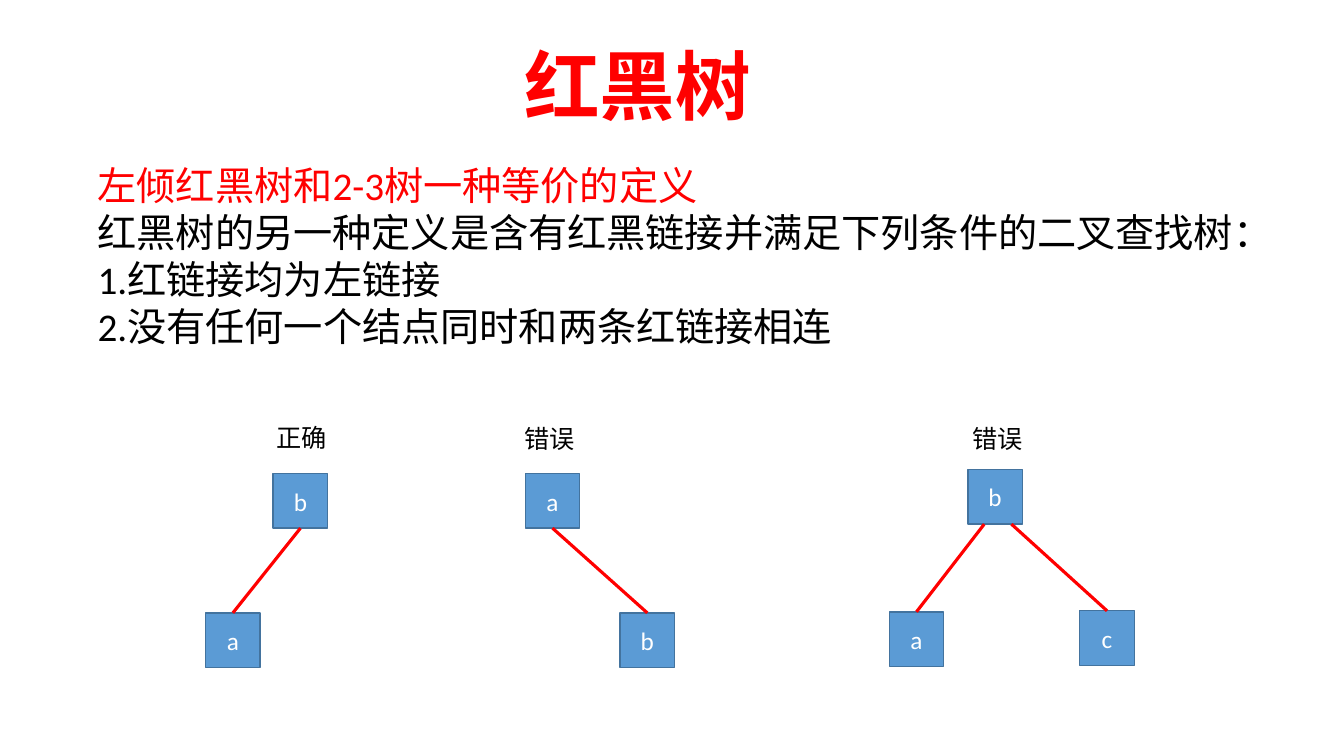
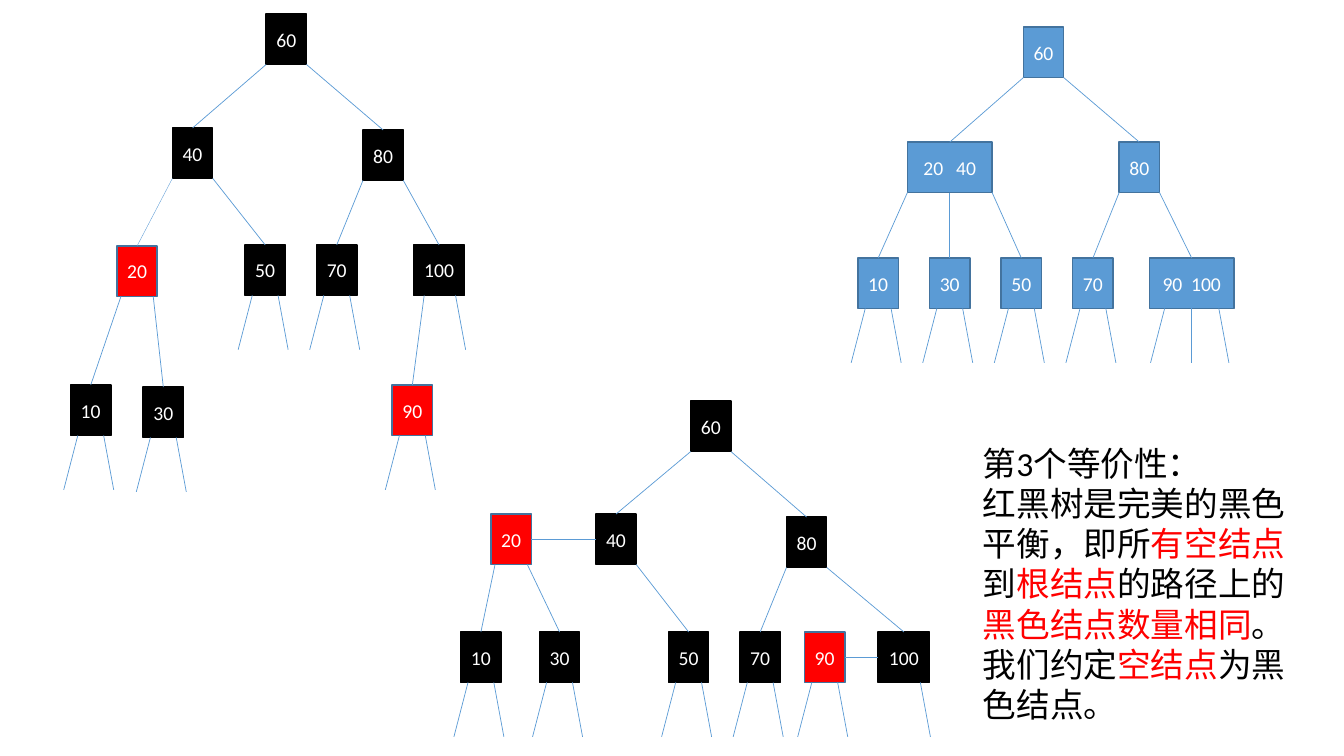
"""Build two slides on red-black trees and their 2-3 tree equivalents."""
from lxml import etree
from pptx import Presentation
from pptx.dml.color import RGBColor
from pptx.enum.shapes import MSO_CONNECTOR, MSO_SHAPE
from pptx.enum.text import MSO_ANCHOR, MSO_AUTO_SIZE, PP_ALIGN
from pptx.oxml.ns import qn
from pptx.util import Inches, Pt

RECT = MSO_SHAPE.RECTANGLE
STRAIGHT = MSO_CONNECTOR.STRAIGHT
TOP, MIDDLE = MSO_ANCHOR.TOP, MSO_ANCHOR.MIDDLE
FIT_SHAPE, NO_FIT = MSO_AUTO_SIZE.SHAPE_TO_FIT_TEXT, MSO_AUTO_SIZE.NONE
LEFT, CENTER = PP_ALIGN.LEFT, PP_ALIGN.CENTER
SIDE_TOP, SIDE_LEFT, SIDE_BOTTOM, SIDE_RIGHT = range(4)
TITLE_ONLY, BLANK = 5, 6

FONT = "Calibri"
COLORS = {"black": "000000", "white": "FFFFFF", "red": "FF0000",
          "blue": "5B9BD5", "edge": "43739E"}
NODE_LINES = {"black": "black", "red": "edge", "blue": "edge"}
STUB_SHIFTS = {0.18: -0.14, 0.5: 0, 0.82: 0.1}
PAIR = (0.18, 0.82)
TRIPLE = (0.18, 0.5, 0.82)


def rgb(name):
    return RGBColor.from_string(COLORS[name])


class Deck:
    """Holds the style and the current slide."""

    def __init__(self, prs):
        self.prs = prs
        self.slide = None

    def add_slide(self, layout):
        self.slide = self.prs.slides.add_slide(self.prs.slide_layouts[layout])

    def style(self, p, size, color, bold=False, align=LEFT):
        p.alignment = align
        p.font.name = FONT
        p.font.size = Pt(size)
        p.font.bold = bold
        p.font.color.rgb = rgb(color)

    def title(self, text, x, y, w, h):
        sp = self.slide.shapes.title
        sp.left, sp.top, sp.width, sp.height = map(Inches, (x, y, w, h))
        tf = sp.text_frame
        tf.text = text
        tf.vertical_anchor = TOP
        tf.auto_size = NO_FIT
        self.style(tf.paragraphs[0], 54, "red", bold=True)

    def text(self, paragraphs, x, y, w, h, size):
        sp = self.slide.shapes.add_textbox(*map(Inches, (x, y, w, h)))
        tf = sp.text_frame
        tf.word_wrap = True
        tf.auto_size = FIT_SHAPE
        for i, runs in enumerate(paragraphs):
            p = tf.add_paragraph() if i else tf.paragraphs[0]
            self.style(p, size, runs[0][1])
            for text, color in runs:
                r = p.add_run()
                r.text = text
                if color != runs[0][1]:
                    r.font.color.rgb = rgb(color)

    def node(self, label, x, y, w, h, size, color="blue", gap=0):
        sp = self.slide.shapes.add_shape(RECT, *map(Inches, (x, y, w, h)))
        sp.shadow.inherit = False
        sp.fill.solid()
        sp.fill.fore_color.rgb = rgb(color)
        sp.line.color.rgb = rgb(NODE_LINES[color])
        sp.line.width = Pt(1)
        tf = sp.text_frame
        tf.word_wrap = False
        tf.vertical_anchor = MIDDLE
        p = tf.paragraphs[0]
        self.style(p, size, "white", align=CENTER)
        for part in label.partition(" "):
            if part:
                r = p.add_run()
                r.text = part
                if part == " ":
                    r._r.get_or_add_rPr().set("spc", str(gap * 100))
        return sp

    def line(self, x1, y1, x2, y2, color, width):
        cxn = self.slide.shapes.add_connector(STRAIGHT, x1, y1, x2, y2)
        cxn.line.color.rgb = rgb(color)
        cxn.line.width = Pt(width)
        etree.SubElement(cxn._element.spPr, qn("a:effectLst"))
        return cxn

    def link(self, parent, at, child, color="blue", width=0.5):
        """Join a point along the parent's bottom to the child's top."""
        x = parent.left + int(parent.width * at)
        y = parent.top + parent.height
        cxn = self.line(x, y, child.left + child.width // 2, child.top, color, width)
        if at == 0.5:
            cxn.begin_connect(parent, SIDE_BOTTOM)
        cxn.end_connect(child, SIDE_TOP)

    def side_link(self, parent, child, width):
        """Join the parent's left side to the child's right side."""
        cxn = self.line(parent.left, parent.top, child.left, child.top, "blue", width)
        cxn.begin_connect(parent, SIDE_LEFT)
        cxn.end_connect(child, SIDE_RIGHT)

    def stubs(self, node, places):
        y = node.top + node.height
        for at in places:
            x = node.left + int(node.width * at)
            self.line(x, y, x + Inches(STUB_SHIFTS[at]), y + Inches(0.54), "blue", 0.5)

    def tree(self, nodes, links, stubs, color, reds=(), side_links=()):
        """Draw nodes, the links between them and the empty links below."""
        made = {}
        for label, x, y in nodes:
            width = 0.84 if " " in label else 0.51 if label == "100" else 0.4
            gap = 3 if label.endswith("100") else 6
            made[label] = self.node(label, x, y, width, 0.5, 14,
                                    "red" if label in reds else color, gap)
        for parent, at, child, *width in links:
            self.link(made[parent], at, made[child], "blue", *width)
        for parent, child, width in side_links:
            self.side_link(made[parent], made[child], width)
        for label, places in stubs.items():
            self.stubs(made[label], places)


def definition_slide(deck):
    deck.add_slide(TITLE_ONLY)
    deck.title("红黑树", 5.1, 0.34, 7.35, 1.01)
    deck.text([[("左倾红黑树和2-3树一种等价的定义", "red")],
               [("红黑树的另一种定义是含有红黑链接并满足下列条件的二叉查找树：", "black")],
               [("1.红链接均为左链接", "black")],
               [("2.没有任何一个结点同时和两条红链接相连", "black")]],
              0.87, 1.55, 11.68, 1.99, 28)
    examples = [
        ("正确", 2.64, 4.14, ("b", 2.71, 4.7), [("a", 2.04, 6.08, 0.5)]),
        ("错误", 5.1, 4.15, ("a", 5.21, 4.7), [("b", 6.15, 6.08, 0.5)]),
        ("错误", 9.55, 4.15, ("b", 9.6, 4.66),
         [("a", 8.82, 6.07, 0.3), ("c", 10.71, 6.06, 0.8)]),
    ]
    for caption, x, y, root, children in examples:
        deck.text([[(caption, "black")]], x, y, 0.87, 0.4, 18)
        parent = deck.node(*root, 0.54, 0.54, 18)
        for label, cx, cy, at in children:
            child = deck.node(label, cx, cy, 0.54, 0.54, 18)
            deck.link(parent, at, child, "red", 2.25)


def equivalence_slide(deck):
    deck.add_slide(BLANK)
    shared = [("60", 0, "40"), ("60", 1, "80"), ("40", 1, "50"), ("80", 0, "70"),
              ("80", 1, "100"), ("20", 0.1, "10"), ("20", 0.9, "30")]
    stubs = {**dict.fromkeys(("10", "30", "50", "70", "90"), PAIR), "100": (0.82,)}
    deck.tree([("60", 2.64, 0.14), ("40", 1.71, 1.27), ("80", 3.6, 1.29),
               ("20", 1.16, 2.44), ("50", 2.43, 2.43), ("70", 3.14, 2.43),
               ("100", 4.1, 2.43), ("10", 0.7, 3.82), ("30", 1.42, 3.84),
               ("90", 3.89, 3.82)],
              shared + [("40", 0, "20", 0.25), ("100", 0.21, "90")],
              stubs, "black", reds=("20", "90"))
    deck.tree([("60", 6.85, 3.98), ("20", 4.87, 5.1), ("40", 5.91, 5.1),
               ("80", 7.8, 5.13), ("10", 4.57, 6.27), ("30", 5.35, 6.27),
               ("50", 6.63, 6.27), ("70", 7.34, 6.27), ("90", 7.98, 6.27),
               ("100", 8.71, 6.27)],
              shared, stubs, "black", reds=("20", "90"),
              side_links=[("40", "20", 0.25), ("100", "90", 0.5)])
    leaves = ("10", "30", "50", "70")
    deck.tree([("60", 10.15, 0.27), ("20 40", 9, 1.41), ("80", 11.1, 1.41),
               *((label, 8.51 + 0.71 * i, 2.56) for i, label in enumerate(leaves)),
               ("90 100", 11.4, 2.56)],
              [("60", 0, "20 40"), ("60", 1, "80"), ("20 40", 0, "10"),
               ("20 40", 0.5, "30"), ("20 40", 1, "50"), ("80", 0, "70"),
               ("80", 1, "90 100")],
              {**dict.fromkeys(leaves, PAIR), "90 100": TRIPLE}, "blue")
    deck.text([[("第3个等价性：", "black")],
               [("红黑树是完美的黑色平衡，即所", "black"), ("有空结点", "red"),
                ("到", "black"), ("根结点", "red"), ("的路径上的", "black"),
                ("黑色结点数量相同", "red"), ("。", "black")],
               [("我们约定", "black"), ("空结点", "red"), ("为黑色结点。", "black")]],
              9.65, 4.34, 3.43, 2.93, 24)


def main():
    prs = Presentation()
    prs.slide_width, prs.slide_height = Inches(13.33), Inches(7.5)
    deck = Deck(prs)
    definition_slide(deck)
    equivalence_slide(deck)
    prs.save("out.pptx")


if __name__ == "__main__":
    main()
